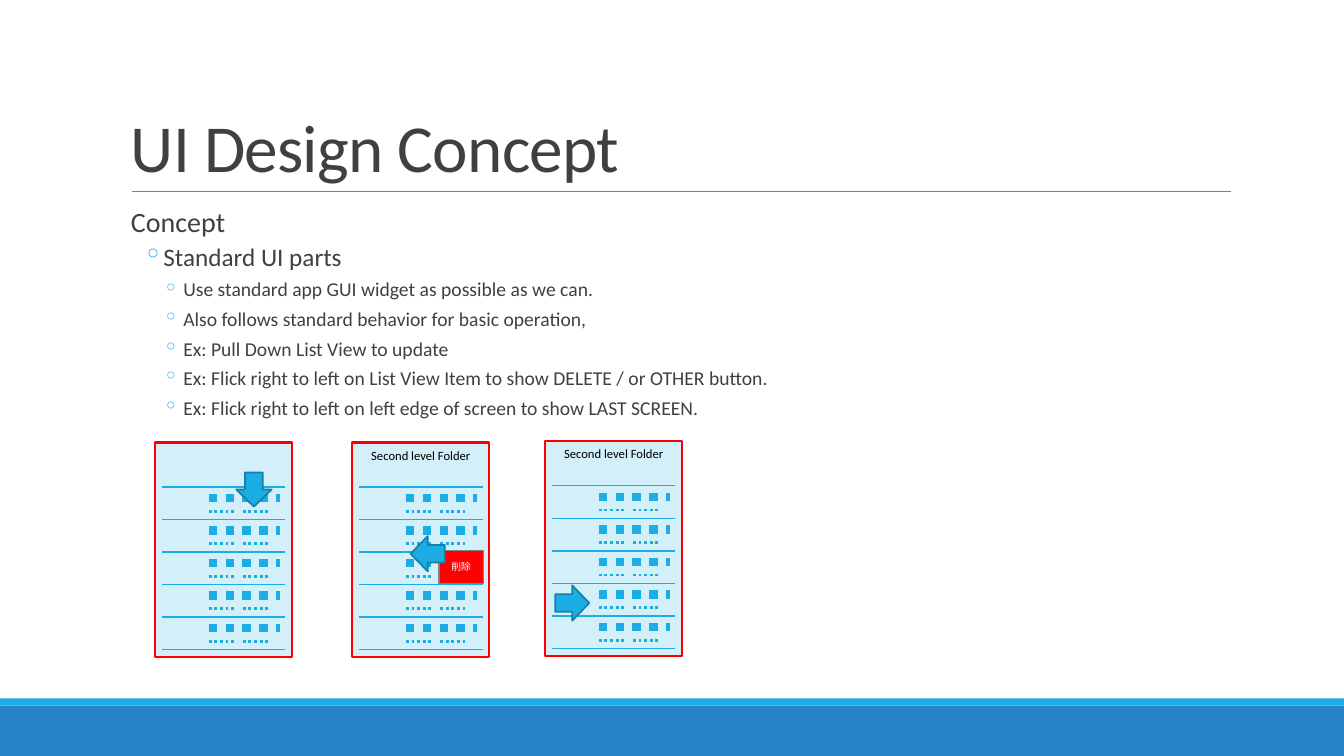
from lxml.etree import SubElement
from pptx import Presentation
from pptx.dml.color import RGBColor
from pptx.enum.dml import MSO_LINE
from pptx.enum.shapes import MSO_CONNECTOR, MSO_SHAPE
from pptx.enum.text import MSO_ANCHOR, PP_ALIGN
from pptx.oxml.ns import qn
from pptx.util import Cm, Pt

ACCENT = "1CADE4"
TEXT = "404040"
RED = "FF0000"
GRAY = "808080"

CONCEPT = [
    (0, "Concept"),
    (1, "Standard UI parts"),
    (2, "Use standard app GUI widget as possible as we can."),
    (2, "Also follows standard behavior for basic operation,"),
    (2, "Ex: Pull Down List View to update"),
    (2, "Ex: Flick right to left on List View Item to show DELETE / or OTHER button."),
    (2, "Ex: Flick right to left on left edge of screen to show LAST SCREEN."),
]
LEVELS = [
    dict(size=20, margin=0.25, after=2),
    dict(size=18, margin=1.07, hanging=0.51, bullet="◦", before=2, after=4),
    dict(size=14, margin=1.57, hanging=0.51, bullet="◦", before=2, after=4),
]


def color(value):
    return RGBColor.from_string(value)


def write(paragraph, text, size=18, fill=TEXT, font="Calibri", align=PP_ALIGN.LEFT,
          line_spacing=None, before=0, after=0, margin=0, hanging=0, bullet=None,
          tracking=None):
    properties = paragraph._p.get_or_add_pPr()
    properties.set("marL", str(Cm(margin)))
    properties.set("indent", str(-Cm(hanging)))
    paragraph.alignment = align
    paragraph.line_spacing = line_spacing
    paragraph.space_before = Pt(before)
    paragraph.space_after = Pt(after)
    if bullet:
        bullet_color = SubElement(properties, qn("a:buClr"))
        SubElement(bullet_color, qn("a:srgbClr")).set("val", ACCENT)
        SubElement(properties, qn("a:buChar")).set("char", bullet)
    else:
        SubElement(properties, qn("a:buNone"))
    run = paragraph.add_run()
    run.text = text
    run.font.name = font
    run.font.size = Pt(size)
    run.font.color.rgb = color(fill)
    if tracking is not None:
        run._r.get_or_add_rPr().set("spc", str(round(tracking * 100)))


class SlideBuilder:
    row_count = 5
    row_pitch = 0.82

    def __init__(self, slide):
        self.slide = slide
        self.shapes = slide.shapes

    def shape(self, kind, left, top, width, height, fill, line=None, weight=1, rotation=0):
        shape = self.shapes.add_shape(kind, Cm(left), Cm(top), Cm(width), Cm(height))
        shape.shadow.inherit = False
        shape.rotation = rotation
        shape.fill.solid()
        shape.fill.fore_color.rgb = color(fill)
        if line:
            shape.line.color.rgb = color(line)
            shape.line.width = Pt(weight)
        else:
            shape.line.fill.background()
        return shape

    def rule(self, left, right, top, stroke=ACCENT, weight=1, dotted=False):
        connector = self.shapes.add_connector(
            MSO_CONNECTOR.STRAIGHT, Cm(left), Cm(top), Cm(right), Cm(top))
        connector.line.color.rgb = color(stroke)
        connector.line.width = Pt(weight)
        if dotted:
            connector.line.dash_style = MSO_LINE.ROUND_DOT
        SubElement(connector._element.spPr, qn("a:effectLst"))

    def text_box(self, left, top, width, height, anchor=MSO_ANCHOR.TOP, inset=0.25):
        frame = self.shapes.add_textbox(Cm(left), Cm(top), Cm(width), Cm(height)).text_frame
        frame.word_wrap = True
        frame.vertical_anchor = anchor
        frame.margin_left = frame.margin_right = Cm(inset)
        return frame

    def phone(self, left, top, arrow, rotation=0, heading=None, button=None):
        self.shapes = self.slide.shapes.add_group_shape().shapes
        screen = self.shape(MSO_SHAPE.RECTANGLE, left, top, 3.45, 5.41, "D2EFFA", RED, 1.5)
        if heading:
            screen.text_frame.vertical_anchor = MSO_ANCHOR.TOP
            write(screen.text_frame.paragraphs[0], heading, size=9, fill="000000",
                  align=PP_ALIGN.CENTER)
        for row in range(self.row_count + 1):
            row_top = top + 1.12 + row * self.row_pitch
            self.rule(left + 0.17, left + 3.28, row_top)
            if row < self.row_count:
                self.rule(left + 1.35, left + 3.15, row_top + 0.28, weight=6, dotted=True)
                for start in (1.35, 2.21):
                    self.rule(left + start, left + start + 0.68, row_top + 0.61,
                              weight=2, dotted=True)
        if button:
            shape = self.shape(MSO_SHAPE.RECTANGLE, left + 2.18, top + 2.72, 1.12, 0.84,
                               RED, GRAY)
            shape.text_frame.vertical_anchor = MSO_ANCHOR.MIDDLE
            write(shape.text_frame.paragraphs[0], button, size=7, fill="FFFFFF",
                  align=PP_ALIGN.CENTER)
        self.shape(MSO_SHAPE.LEFT_ARROW, left + arrow[0], top + arrow[1], 0.86, 0.89,
                   ACCENT, "1580A9", 1.25, rotation)
        self.shapes = self.slide.shapes


def main():
    presentation = Presentation()
    presentation.slide_width = Cm(33.87)
    presentation.slide_height = Cm(19.05)
    builder = SlideBuilder(presentation.slides.add_slide(presentation.slide_layouts[6]))

    builder.shape(MSO_SHAPE.RECTANGLE, 0, 17.78, 33.87, 1.27, "2683C6")
    builder.shape(MSO_SHAPE.RECTANGLE, 0, 17.6, 33.87, 0.18, ACCENT)
    builder.rule(3.33, 31.01, 4.83, GRAY, 0.5)

    title = builder.text_box(3.05, 0.79, 27.94, 4.04, MSO_ANCHOR.BOTTOM)
    write(title.paragraphs[0], "UI Design Concept", size=48, line_spacing=0.85, tracking=-0.5)

    body = builder.text_box(3.05, 5.13, 27.94, 11.18, inset=0)
    for index, (level, text) in enumerate(CONCEPT):
        paragraph = body.add_paragraph() if index else body.paragraphs[0]
        paragraph.level = level
        write(paragraph, text, line_spacing=0.9, **LEVELS[level])

    folder = "Second level Folder"
    builder.phone(3.91, 11.15, arrow=(2.06, 0.74), rotation=270)
    builder.phone(8.88, 11.15, arrow=(1.47, 2.36), heading=folder, button="削除")
    builder.phone(13.74, 11.12, arrow=(0.25, 3.63), rotation=180, heading=folder)

    presentation.save("out.pptx")


if __name__ == "__main__":
    main()
